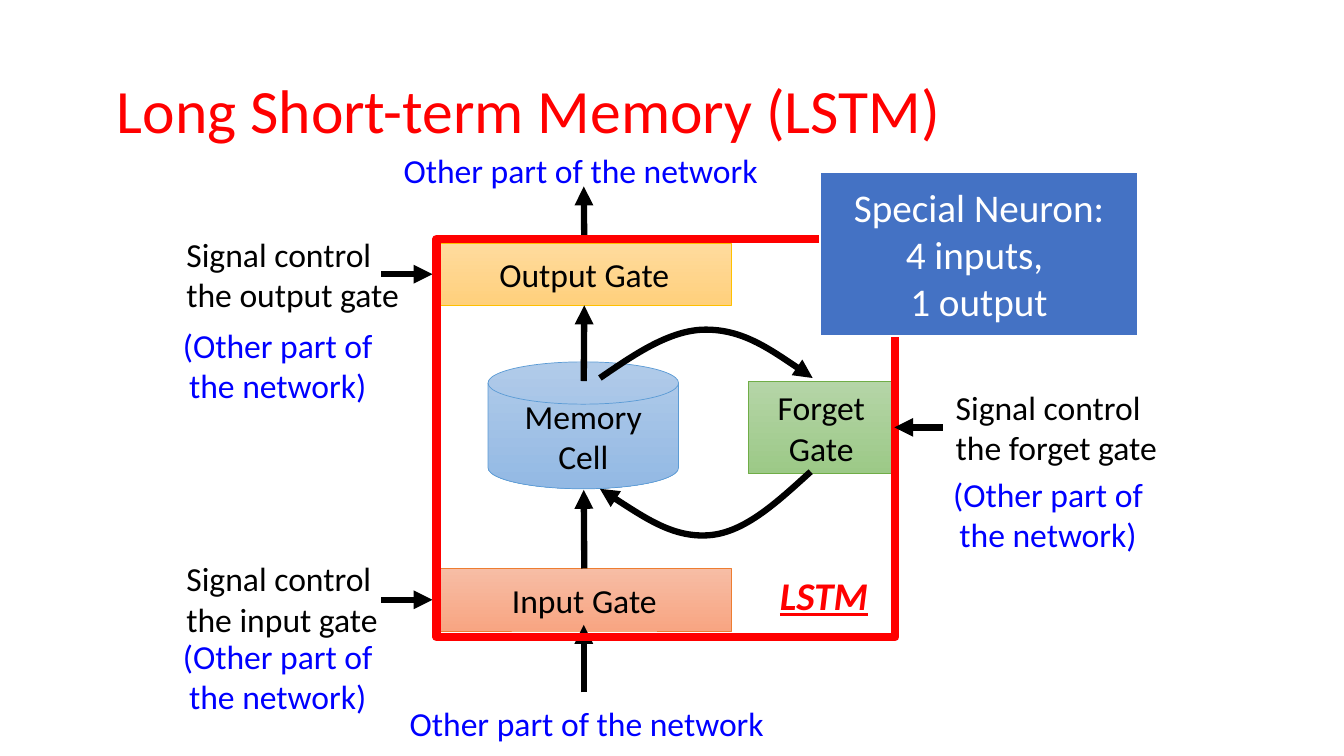
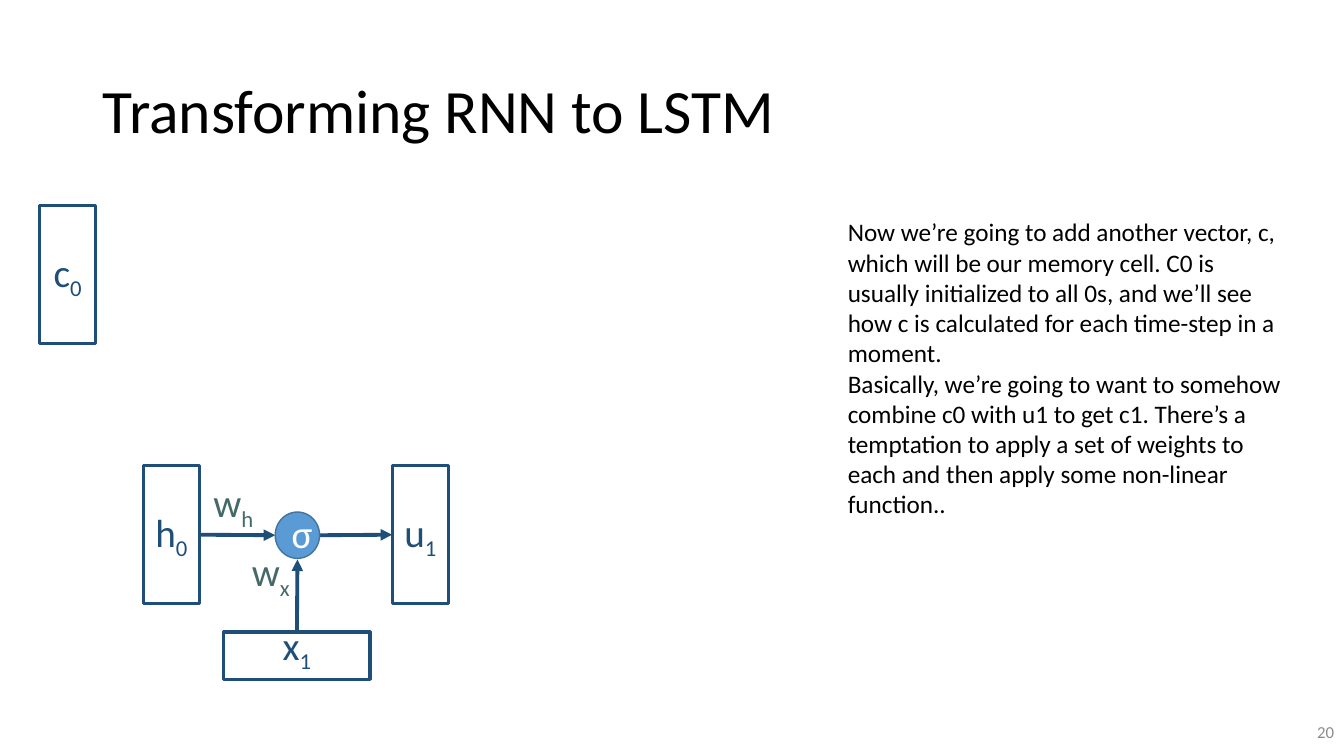
import pptx
import pptx.util
import pptx.dml.color
import pptx.enum.shapes
import pptx.enum.text
import pptx.oxml
import pptx.oxml.ns
import lxml.etree

Inches = pptx.util.Inches
Pt = pptx.util.Pt
qn = pptx.oxml.ns.qn
SHAPE = pptx.enum.shapes.MSO_SHAPE
ANCHOR = pptx.enum.text.MSO_ANCHOR
ALIGN = pptx.enum.text.PP_ALIGN

FONT = "Calibri"
BLACK, WHITE, RED, BLUE = "000000", "FFFFFF", "FF0000", "0000FF"
NAVY, TEAL, GRAY = "1F4E79", "456968", "8C8C8C"
TOP, LEFT, BOTTOM, RIGHT = range(4)


def rgb(hex_color):
    return pptx.dml.color.RGBColor.from_string(hex_color)


class Diagram:
    """Holds the deck, its shared style and the slide being drawn."""

    def __init__(self):
        self.deck = pptx.Presentation()
        self.deck.slide_width = Inches(13.33)
        self.deck.slide_height = Inches(7.5)
        self.page = None

    def new_page(self, title, color=BLACK):
        self.page = self.deck.slides.add_slide(self.deck.slide_layouts[5])
        box = self.page.shapes.title
        place = {"left": 0.92, "top": 0.4, "width": 11.5, "height": 1.45}
        for name, value in place.items():
            setattr(box, name, Inches(value))
        self.fill_text(box, [title], 44, color, ALIGN.LEFT, ANCHOR.MIDDLE)
        box.text_frame.paragraphs[0].line_spacing = 0.9

    def fill_text(self, box, lines, size, color, align, anchor, **style):
        """Fill a box, one paragraph per line; text after "_" is a subscript."""
        frame = box.text_frame
        frame.word_wrap = True
        frame.vertical_anchor = anchor
        font_values = {"name": FONT, "size": Pt(size), **style}
        for index, line in enumerate(lines):
            para = frame.paragraphs[0] if index == 0 else frame.add_paragraph()
            para.alignment = align
            base, _, subscript = line.partition("_")
            for text in filter(None, (base, subscript)):
                span = para.add_run()
                span.text = text
                for name, value in font_values.items():
                    setattr(span.font, name, value)
                span.font.color.rgb = rgb(color)
            if subscript:
                span._r.get_or_add_rPr().set("baseline", "-25000")

    def text(self, place, lines, size=24, color=BLACK, align=ALIGN.LEFT,
             anchor=ANCHOR.TOP, **style):
        box = self.page.shapes.add_textbox(*map(Inches, place))
        self.fill_text(box, lines, size, color, align, anchor, **style)

    def shape(self, kind, place, line, width, fill=None, lines=(), size=28,
              color=WHITE, anchor=ANCHOR.MIDDLE):
        """Draw a preset shape; fill is None, one colour or a (top, bottom) pair."""
        box = self.page.shapes.add_shape(kind, *map(Inches, place))
        box.shadow.inherit = False
        if fill is None:
            box.fill.background()
        elif isinstance(fill, tuple):
            box.fill.gradient()
            box.fill.gradient_angle = 270
            for stop, stop_color in zip(box.fill.gradient_stops, fill):
                stop.color.rgb = rgb(stop_color)
        else:
            box.fill.solid()
            box.fill.fore_color.rgb = rgb(fill)
        box.line.color.rgb = rgb(line)
        box.line.width = Pt(width)
        self.fill_text(box, lines, size, color, ALIGN.CENTER, anchor)
        return box

    def vector(self, place, label, anchor=ANCHOR.MIDDLE):
        return self.shape(SHAPE.RECTANGLE, place, NAVY, 2.25, WHITE, [label],
                          color=NAVY, anchor=anchor)

    def arrow_line(self, item, color, width):
        """Style a connector or curve, with an arrowhead at its end."""
        item.line.color.rgb = rgb(color)
        item.line.width = Pt(width)
        properties = item._element.spPr
        head = lxml.etree.SubElement(properties.find(qn("a:ln")), qn("a:tailEnd"))
        head.set("type", "triangle")
        if properties.find(qn("a:effectLst")) is None:
            lxml.etree.SubElement(properties, qn("a:effectLst"))

    def arrow(self, start, end, color=BLACK, width=4.5, begin_at=None, end_at=None):
        """Draw an arrow; begin_at and end_at are (shape, side) to join."""
        line = self.page.shapes.add_connector(
            pptx.enum.shapes.MSO_CONNECTOR.STRAIGHT, *map(Inches, start + end))
        if begin_at:
            line.begin_connect(*begin_at)
        if end_at:
            line.end_connect(*end_at)
        self.arrow_line(line, color, width)

    def curved_arrow(self, start, *points):
        """Draw Bezier segments, each given by two control points and an end."""
        builder = self.page.shapes.build_freeform(*map(Inches, start))
        builder.add_line_segments(
            [(Inches(x), Inches(y)) for x, y in points], close=False)
        curve = builder.convert_to_shape()
        curve.shadow.inherit = False
        curve.fill.background()
        steps = list(curve._element.iter(qn("a:lnTo")))
        for first in range(0, len(steps), 3):
            bezier = lxml.etree.Element(qn("a:cubicBezTo"))
            steps[first].addprevious(bezier)
            for step in steps[first:first + 3]:
                bezier.append(step[0])
                step.getparent().remove(step)
        self.arrow_line(curve, BLACK, 4.5)


def draw_lstm_cell(art):
    art.new_page(" Long Short-term Memory (LSTM)", RED)

    def block(kind, place, line, fill, lines):
        return art.shape(kind, place, line, 0.5, fill, lines, 24, BLACK)

    block(SHAPE.FLOWCHART_MAGNETIC_DISK, (4.84, 3.59, 1.89, 1.26),
          "5B9BD5", ("B1CBE9", "93B9E4"), ["Memory", "Cell"])
    input_gate = block(SHAPE.RECTANGLE, (4.34, 5.64, 2.91, 0.62),
                       "ED7D31", ("F7BDA5", "F8A582"), ["Input Gate"])
    output_gate = block(SHAPE.RECTANGLE, (4.34, 2.41, 2.91, 0.62),
                        "FFC000", ("FFDB9E", "FFD07C"), ["Output Gate"])
    forget_gate = block(SHAPE.RECTANGLE, (7.42, 3.78, 1.45, 0.92),
                        "70AD47", ("B5D5A7", "9CC987"), ["Forget Gate"])

    signals = [("input", 1.75, 5.49, 1.69, 6.26),
               ("output", 1.75, 2.27, 1.69, 3.17),
               ("forget", 9.38, 3.79, 9.33, 4.65)]
    for gate, left, top, note_left, note_top in signals:
        art.text((left, top, 2.47, 0.91), [f"Signal control the {gate} gate"])
        art.text((note_left, note_top, 2.13, 0.91), ["(Other part of the network)"],
                 color=BLUE, align=ALIGN.CENTER)
    for left, top in ((3.84, 6.92), (3.78, 1.44)):
        art.text((left, top, 3.96, 0.5), ["Other part of the network"],
                 color=BLUE, align=ALIGN.CENTER)

    for y in (2.72, 5.95):
        art.arrow((3.78, y), (4.29, y))
    art.arrow((5.79, 6.87), (5.79, 6.2))
    art.arrow((5.79, 5.64), (5.79, 4.86), begin_at=(input_gate, TOP))
    art.arrow((5.79, 2.41), (5.79, 1.85), begin_at=(output_gate, TOP))
    art.arrow((5.79, 3.78), (5.79, 3.03), end_at=(output_gate, BOTTOM))
    art.curved_arrow((5.95, 3.75), (6.3, 3.51), (6.65, 3.27), (7, 3.27),
                     (7.36, 3.27), (7.71, 3.51), (8.06, 3.75))
    art.curved_arrow((8.04, 4.68), (7.71, 4.98), (7.39, 5.28), (7.04, 5.31),
                     (6.69, 5.34), (6.32, 5.09), (5.95, 4.85))

    art.shape(SHAPE.RECTANGLE, (4.33, 2.37, 4.55, 3.95), RED, 6)
    art.text((7.54, 5.62, 1.26, 0.57), ["LSTM"], 28, RED, ALIGN.CENTER,
             bold=True, italic=True, underline=True)
    art.shape(SHAPE.RECTANGLE, (8.13, 1.71, 3.16, 1.62), WHITE, 1.5, "4472C4",
              ["Special Neuron:", "4 inputs, ", "1 output"])
    art.arrow((9.35, 4.24), (8.87, 4.24), end_at=(forget_gate, RIGHT))


def draw_rnn_step(art):
    art.new_page("Transforming RNN to LSTM")
    art.text((11.9, 7.06, 1.43, 0.4), ["20"], 12, GRAY, ALIGN.RIGHT, ANCHOR.MIDDLE)

    for label, left, top in (("w_x", 2.32, 5.38), ("w_h", 1.95, 4.7)):
        art.text((left, top, 0.73, 0.88), [label], 28, TEAL, ALIGN.CENTER)

    word = art.vector((2.22, 6.27, 1.45, 0.47), "x_1", ANCHOR.BOTTOM)
    hidden, update, _ = [
        art.vector((left, top, 0.56, 1.37), label)
        for label, left, top in (("h_0", 1.42, 4.62), ("u_1", 3.89, 4.62),
                                 ("c_0", 0.39, 2.04))]
    style = {"color": NAVY, "width": 2.75}
    art.arrow((1.98, 5.31), (2.73, 5.31), begin_at=(hidden, RIGHT), **style)
    art.arrow((2.95, 6.27), (2.95, 5.55), begin_at=(word, TOP), **style)
    art.arrow((3.17, 5.31), (3.89, 5.31), end_at=(update, LEFT), **style)
    sigma = art.shape(SHAPE.OVAL, (2.73, 5.08, 0.44, 0.46), "43739E", 1,
                      "5B9BD5", ["σ"])
    sigma.text_frame.margin_bottom = Inches(0.1)

    art.text((8.31, 2.1, 4.55, 3.43), [
        "Now we’re going to add another vector, c, which will be our memory cell. "
        "C0 is usually initialized to all 0s, and we’ll see how c is calculated "
        "for each time-step in a moment.",
        "Basically, we’re going to want to somehow combine c0 with u1 to get c1. "
        "There’s a temptation to apply a set of weights to each and then apply "
        "some non-linear function..",
    ], 18)


def main():
    art = Diagram()
    draw_lstm_cell(art)
    draw_rnn_step(art)
    art.deck.save("out.pptx")


if __name__ == "__main__":
    main()
